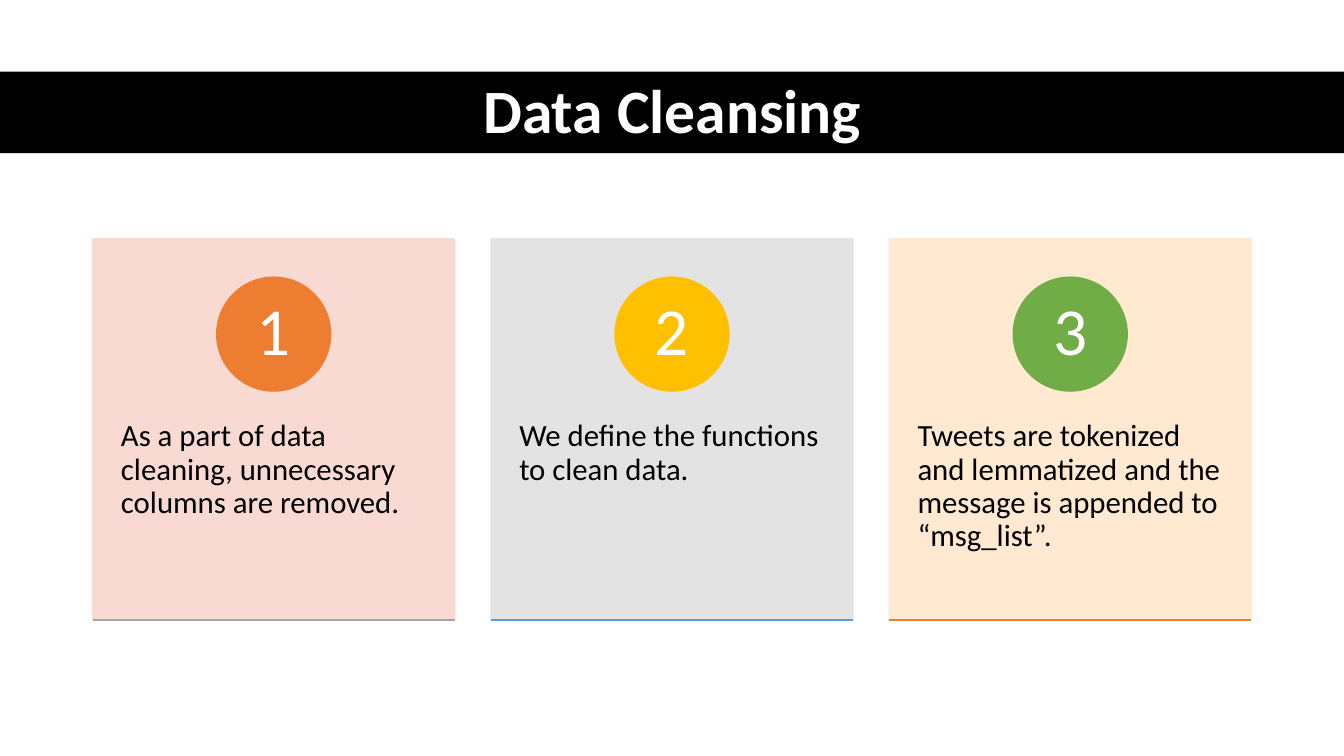
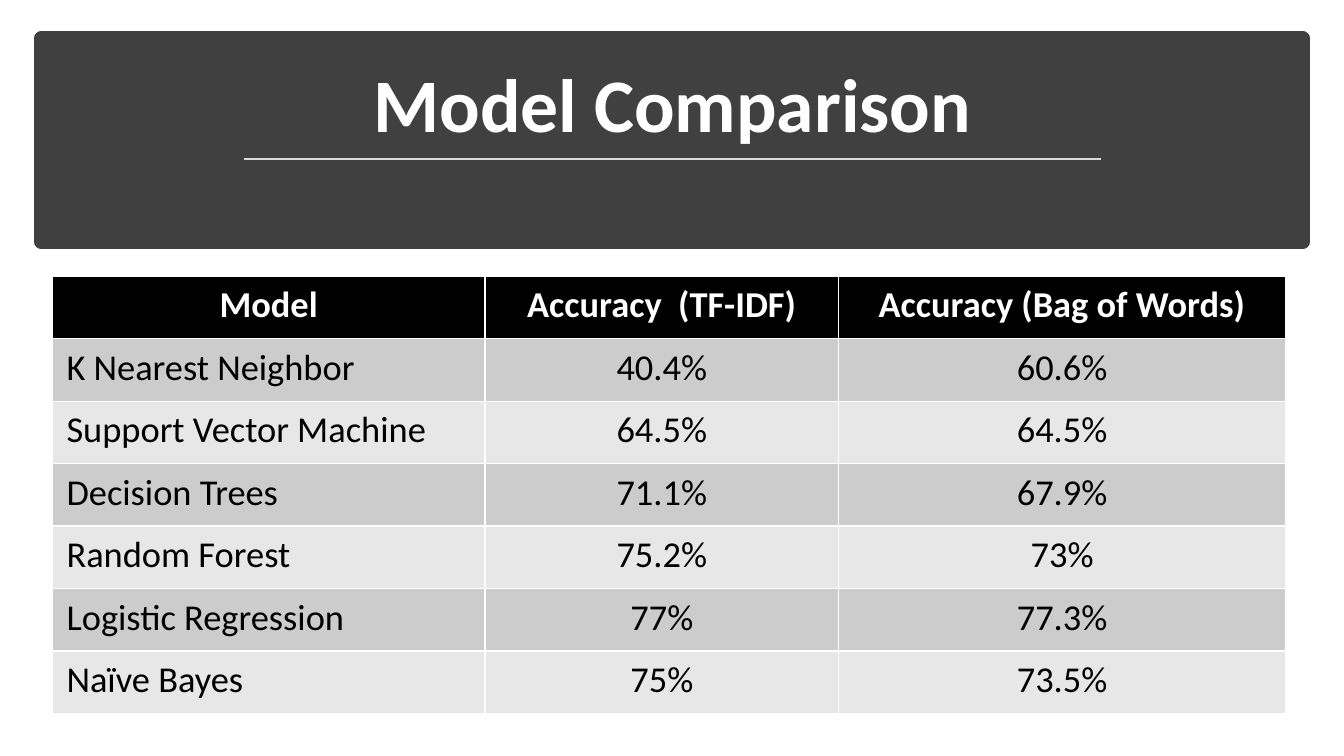
from lxml.etree import SubElement
from pptx import Presentation
from pptx.dml.color import RGBColor
from pptx.enum.shapes import MSO_CONNECTOR, MSO_SHAPE
from pptx.enum.text import MSO_ANCHOR, PP_ALIGN
from pptx.oxml.ns import qn
from pptx.util import Inches, Pt

COLORS = {
    "black": "000000", "white": "FFFFFF", "charcoal": "404040", "silver": "D9D9D9",
    "row_dark": "CCCCCC", "row_light": "E7E7E7",
    "rose": "F8D7CE", "mist": "E1E1E1", "cream": "FFE8CC",
    "orange": "ED7D31", "gold": "FFC000", "green": "70AD47",
    "gray": "A5A5A5", "blue": "5B9BD5",
}
FONT = "Calibri"
TITLE_ONLY = 5


class Deck:
    """Hold the shared style and the slide being built."""

    def __init__(self):
        self.presentation = Presentation()
        self.presentation.slide_width = Inches(13.33)
        self.presentation.slide_height = Inches(7.5)
        self.slide = None

    def color(self, name):
        return RGBColor.from_string(COLORS[name])

    def new_slide(self):
        layout = self.presentation.slide_layouts[TITLE_ONLY]
        self.slide = self.presentation.slides.add_slide(layout)

    def set_text(self, frame, text, size, color, align=PP_ALIGN.LEFT, bold=False, spacing=0.9):
        frame.word_wrap = True
        paragraph = frame.paragraphs[0]
        paragraph.text = text
        paragraph.alignment = align
        paragraph.line_spacing = spacing
        font = paragraph.font
        font.name, font.size, font.bold = FONT, Pt(size), bold
        font.color.rgb = self.color(color)

    def block(self, kind, box, fill, outline=None, opacity=None):
        block = self.slide.shapes.add_shape(kind, *map(Inches, box))
        block.shadow.inherit = False
        block.fill.solid()
        block.fill.fore_color.rgb = self.color(fill)
        if outline is None:
            block.line.fill.background()
        else:
            block.line.color.rgb = self.color(fill)
            block.line.width = Pt(outline)
        if opacity is not None:
            for tint in block.element.spPr.iter(qn("a:srgbClr")):
                SubElement(tint, qn("a:alpha")).set("val", str(opacity * 1000))
        return block

    def rule(self, left, top, width, color, weight):
        ends = map(Inches, (left, top, left + width, top))
        rule = self.slide.shapes.add_connector(MSO_CONNECTOR.STRAIGHT, *ends)
        rule.line.color.rgb = self.color(color)
        rule.line.width = Pt(weight)
        SubElement(rule.element.spPr, qn("a:effectLst"))

    def title(self, text, box, size, anchor, band_box, band_color, band_outline=None):
        band = self.block(MSO_SHAPE.RECTANGLE, band_box, band_color, band_outline)
        title = self.slide.shapes.title
        title.element.addprevious(band.element)
        title.left, title.top, title.width, title.height = map(Inches, box)
        title.text_frame.vertical_anchor = anchor
        self.set_text(title.text_frame, text, size, "white", PP_ALIGN.CENTER, bold=True)

    def card(self, left, number, text, fill, badge_color, rule_color):
        top, width, height, diameter = 2.37, 3.59, 3.78, 1.13
        card = self.block(MSO_SHAPE.RECTANGLE, (left, top, width, height), fill, 1, opacity=90)
        frame = card.text_frame
        frame.vertical_anchor = MSO_ANCHOR.TOP
        frame.margin_left = frame.margin_right = Inches(0.28)
        frame.margin_top = Inches(1.8)
        self.set_text(frame, text, 22, "black")

        badge_left = left + (width - diameter) / 2
        badge_box = (badge_left, top + 0.38, diameter, diameter)
        badge = self.block(MSO_SHAPE.OVAL, badge_box, badge_color, 1)
        frame = badge.text_frame
        frame.vertical_anchor = MSO_ANCHOR.MIDDLE
        frame.margin_top = frame.margin_bottom = Inches(0.01)
        self.set_text(frame, str(number), 48, "white", PP_ALIGN.CENTER)
        self.rule(left, top + height, width, rule_color, 1)

    def table(self, left, top, widths, row_height, rows):
        box = (left, top, sum(widths), row_height * len(rows))
        table = self.slide.shapes.add_table(len(rows), len(widths), *map(Inches, box)).table
        for column, width in zip(table.columns, widths):
            column.width = Inches(width)
        for r, values in enumerate(rows):
            table.rows[r].height = Inches(row_height)
            header = r == 0
            fill = "black" if header else "row_dark" if r % 2 else "row_light"
            for c, value in enumerate(values):
                cell = table.cell(r, c)
                cell.fill.solid()
                cell.fill.fore_color.rgb = self.color(fill)
                cell.margin_left = cell.margin_right = Inches(0.14)
                cell.margin_top = cell.margin_bottom = Inches(0.07)
                align = PP_ALIGN.CENTER if header or c else PP_ALIGN.LEFT
                color = "white" if header else "black"
                self.set_text(cell.text_frame, value, 26, color, align, header, spacing=1.0)


def data_cleansing(deck):
    deck.new_slide()
    deck.title("Data Cleansing", (0.92, 0.74, 11.5, 0.78), 44, MSO_ANCHOR.MIDDLE,
               (0, 0.71, 13.33, 0.81), "black")
    steps = [
        ("As a part of data cleaning, unnecessary columns are removed.",
         "rose", "orange", "gray"),
        ("We define the functions to clean data.", "mist", "gold", "blue"),
        ("Tweets are tokenized and lemmatized and the message is appended to “msg_list”.",
         "cream", "green", "orange"),
    ]
    for index, step in enumerate(steps):
        deck.card(0.92 + index * 3.95, index + 1, *step)


def model_comparison(deck):
    deck.new_slide()
    deck.title("Model Comparison", (0.58, 0.51, 12.18, 1.02), 54, MSO_ANCHOR.BOTTOM,
               (0.41, 0.38, 12.51, 2.02), "charcoal", 10)
    deck.rule(2.42, 1.58, 8.5, "silver", 1.75)
    deck.table(0.52, 2.74, (4.29, 3.51, 4.43), 0.62, [
        ("Model", "Accuracy  (TF-IDF)", "Accuracy (Bag of Words)"),
        ("K Nearest Neighbor", "40.4%", "60.6%"),
        ("Support Vector Machine", "64.5%", "64.5%"),
        ("Decision Trees", "71.1%", "67.9%"),
        ("Random Forest", "75.2%", "73%"),
        ("Logistic Regression", "77%", "77.3%"),
        ("Naïve Bayes", "75%", "73.5%"),
    ])


def main():
    deck = Deck()
    data_cleansing(deck)
    model_comparison(deck)
    deck.presentation.save("out.pptx")


if __name__ == "__main__":
    main()
